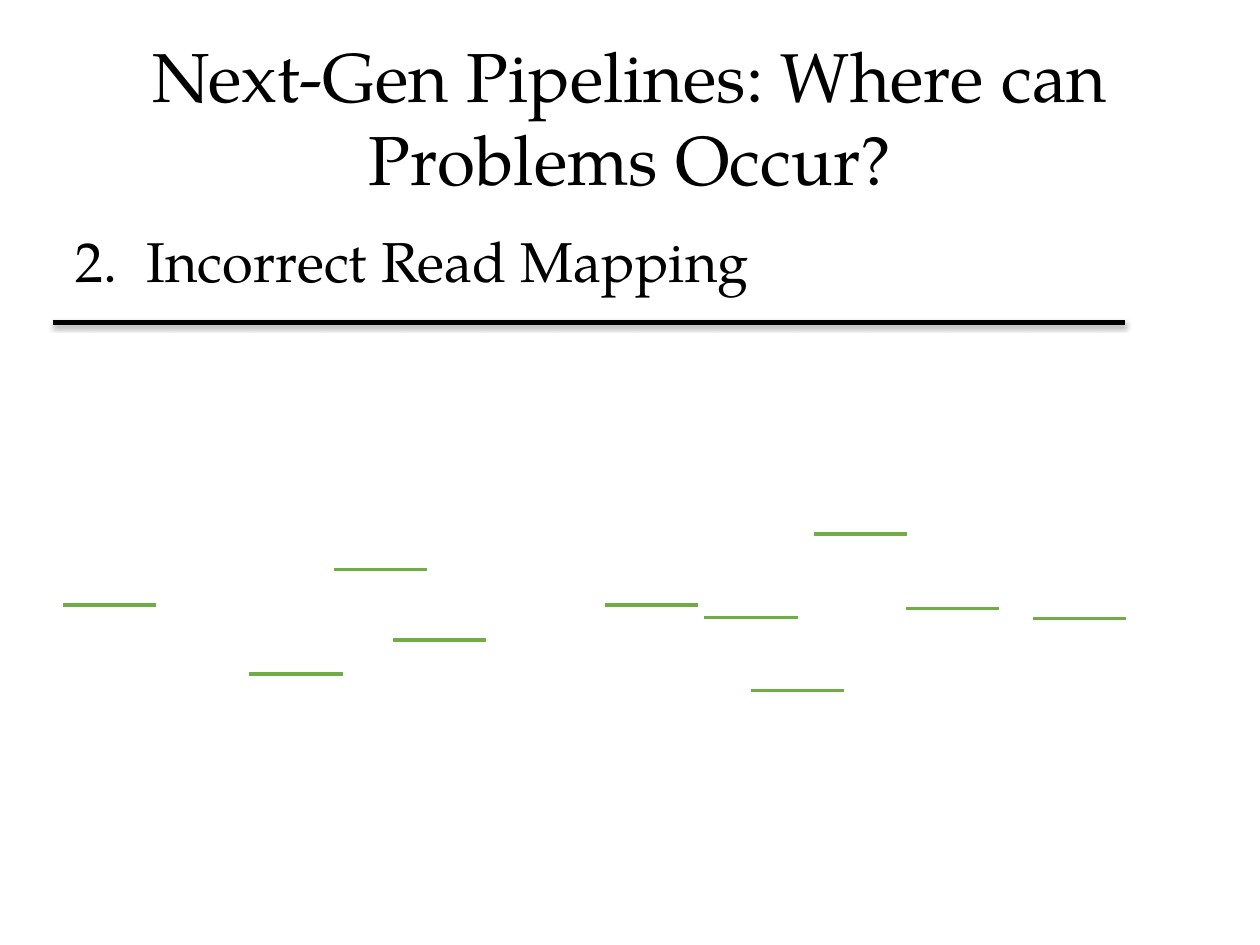
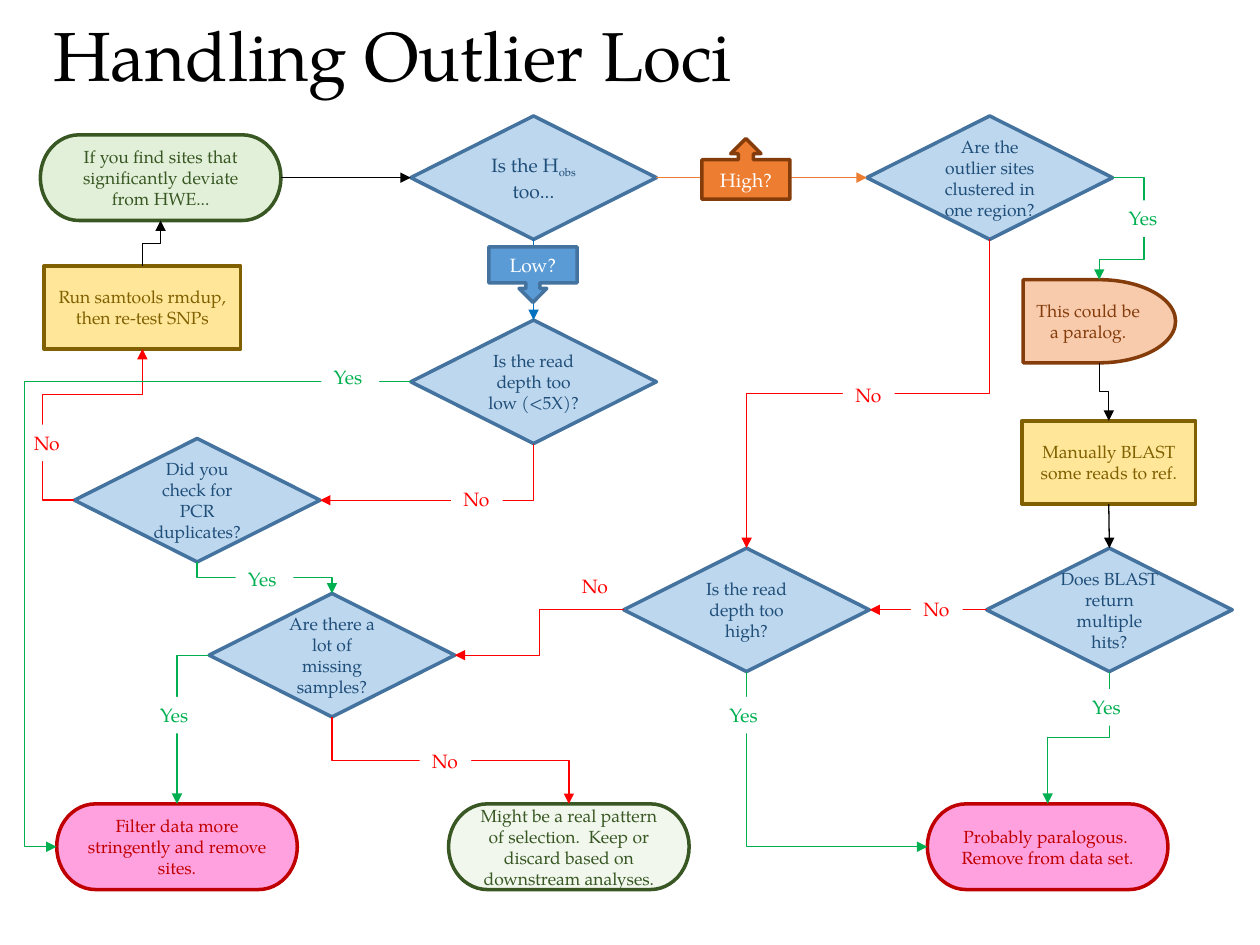
import pptx
import pptx.util
from pptx.dml.color import RGBColor
from pptx.enum.shapes import MSO_CONNECTOR, MSO_SHAPE
from pptx.enum.text import MSO_ANCHOR, MSO_AUTO_SIZE, PP_ALIGN
from pptx.oxml.ns import qn
from pptx.util import Inches
from lxml import etree

FONT = "TeX Gyre Pagella"
BLACK = RGBColor(0x00, 0x00, 0x00)
WHITE = RGBColor(0xFF, 0xFF, 0xFF)
READ_GREEN = RGBColor(0x70, 0xAD, 0x47)
YES_GREEN = RGBColor(0x00, 0xB0, 0x50)
NO_RED = RGBColor(0xFF, 0x00, 0x00)
LOW_BLUE = RGBColor(0x00, 0x70, 0xC0)
ORANGE = RGBColor(0xED, 0x7D, 0x31)
SKY = RGBColor(0x5B, 0x9B, 0xD5)
PALE_BLUE = RGBColor(0xBD, 0xD7, 0xEE)
STEEL = RGBColor(0x43, 0x73, 0x9E)
NAVY = RGBColor(0x1F, 0x4E, 0x79)
PALE_GREEN = RGBColor(0xE2, 0xF0, 0xD9)
SAGE = RGBColor(0xC5, 0xE0, 0xB4)
FOREST = RGBColor(0x38, 0x57, 0x23)
PEACH = RGBColor(0xF8, 0xCB, 0xAD)
BROWN = RGBColor(0x84, 0x3C, 0x0B)
YELLOW = RGBColor(0xFF, 0xE6, 0x99)
OLIVE = RGBColor(0x80, 0x60, 0x00)
PINK = RGBColor(0xFF, 0x8A, 0xD8)
CRIMSON = RGBColor(0xC0, 0x00, 0x00)


def write(shape, text, size, color, align=PP_ALIGN.CENTER):
    """Fill a shape with one paragraph; parts between bars are subscripts."""
    paragraph = shape.text_frame.paragraphs[0]
    paragraph.alignment = align
    for i, part in enumerate(text.split("|")):
        run = paragraph.add_run()
        run.text = part
        run.font.name = FONT
        run.font.size = pptx.util.Pt(size)
        run.font.color.rgb = color
        if i % 2:
            run.font._element.set("baseline", "-25000")


def style_line(connector, color, width, arrow=False):
    """Colour a connector, clear its shadow and return the effect list."""
    connector.line.color.rgb = color
    connector.line.width = pptx.util.Pt(width)
    properties = connector._element.spPr
    if arrow:
        etree.SubElement(properties.find(qn("a:ln")), qn("a:tailEnd"), type="triangle")
    return etree.SubElement(properties, qn("a:effectLst"))


prs = pptx.Presentation()
prs.slide_width, prs.slide_height = Inches(10), Inches(7.5)

# Both slides with their titles
slides = []
for layout, title, box in (
    (1, "Next-Gen Pipelines: Where can Problems Occur?", (0.5, 0.3, 9, 1.25)),
    (5, "Handling Outlier Loci", (0, 0.01, 6.23, 0.83)),
):
    slide = prs.slides.add_slide(prs.slide_layouts[layout])
    heading = slide.shapes.title
    heading.left, heading.top, heading.width, heading.height = map(Inches, box)
    heading.text_frame.auto_size = MSO_AUTO_SIZE.NONE
    heading.text_frame.vertical_anchor = MSO_ANCHOR.MIDDLE
    write(heading, title, 39.6, BLACK)
    slides.append(slide)
mapping, flow = slides

# Slide 1: numbered problem
problem = mapping.placeholders[1]
problem.left, problem.top = Inches(0.5), Inches(1.75)
problem.width, problem.height = Inches(9), Inches(4.95)
problem.text_frame.auto_size = MSO_AUTO_SIZE.NONE
paragraph = problem.text_frame.paragraphs[0]
numbering = paragraph._p.get_or_add_pPr()
numbering.set("marL", str(Inches(0.56)))
numbering.set("indent", str(-Inches(0.56)))
etree.SubElement(numbering, qn("a:buFont"), typeface="+mj-lt")
etree.SubElement(numbering, qn("a:buAutoNum"), type="arabicPeriod", startAt="2")
paragraph.space_before = pptx.util.Pt(0)
write(problem, "Incorrect Read Mapping", 32, BLACK, PP_ALIGN.LEFT)

# Slide 1: reference sequence with a soft shadow
reference = mapping.shapes.add_connector(
    MSO_CONNECTOR.STRAIGHT, Inches(0.42), Inches(2.56), Inches(8.93), Inches(2.56))
effects = style_line(reference, BLACK, 2.5)
shadow = etree.SubElement(effects, qn("a:outerShdw"), blurRad="40000", dist="20000",
                          dir="5400000", rotWithShape="0")
shadow_color = etree.SubElement(shadow, qn("a:srgbClr"), val="000000")
etree.SubElement(shadow_color, qn("a:alpha"), val="38000")

# Slide 1: short reads
READ_LENGTH = 0.74
for x, y in ((0.5, 4.8), (1.98, 5.35), (2.65, 4.52), (3.12, 5.08), (4.8, 4.8),
             (5.59, 4.9), (5.96, 5.48), (6.46, 4.24), (7.19, 4.83), (8.2, 4.91)):
    read = mapping.shapes.add_connector(
        MSO_CONNECTOR.STRAIGHT, Inches(x), Inches(y), Inches(x + READ_LENGTH), Inches(y))
    style_line(read, READ_GREEN, 2)

# Slide 2: kinds of step: shape, width, height, fill, opacity, outline, text
TERMINATOR = MSO_SHAPE.FLOWCHART_TERMINATOR
KINDS = {
    "start": (TERMINATOR, 1.91, 0.68, PALE_GREEN, 100, FOREST, FOREST),
    "keep": (TERMINATOR, 1.91, 0.68, SAGE, 23, FOREST, FOREST),
    "remove": (TERMINATOR, 1.91, 0.68, PINK, 80, CRIMSON, CRIMSON),
    "question": (MSO_SHAPE.FLOWCHART_DECISION, 1.95, 0.98, PALE_BLUE, 100, STEEL, NAVY),
    "paralog": (MSO_SHAPE.FLOWCHART_DELAY, 1.21, 0.66, PEACH, 100, BROWN, BROWN),
    "blast": (MSO_SHAPE.FLOWCHART_PROCESS, 1.38, 0.66, YELLOW, 100, OLIVE, OLIVE),
    "rmdup": (MSO_SHAPE.FLOWCHART_PROCESS, 1.56, 0.66, YELLOW, 100, OLIVE, OLIVE),
    "high": (MSO_SHAPE.UP_ARROW_CALLOUT, 0.7, 0.48, ORANGE, 100, BROWN, WHITE),
    "low": (MSO_SHAPE.DOWN_ARROW_CALLOUT, 0.7, 0.44, SKY, 100, STEEL, WHITE),
}
STEPS = [
    ("deviate", "start", 0.32, 1.07, 10,
     "If you find sites that significantly deviate from HWE..."),
    ("hobs", "question", 3.26, 0.92, 11, "Is the H|obs| too..."),
    ("clustered", "question", 6.88, 0.92, 10,
     "Are the outlier sites clustered in one region?"),
    ("paralog", "paralog", 8.12, 2.22, 10, "This could be a paralog."),
    ("blast", "blast", 8.11, 3.34, 10, "Manually BLAST some reads to ref."),
    ("hits", "question", 7.83, 4.35, 10, "Does BLAST return multiple hits?"),
    ("paralogous", "remove", 7.36, 6.38, 10,
     "Probably paralogous.  Remove from data set."),
    ("too_high", "question", 4.95, 4.35, 10, "Is the read depth too high?"),
    ("selection", "keep", 3.56, 6.38, 10,
     "Might be a real pattern of selection.  Keep or discard based on downstream analyses."),
    ("too_low", "question", 3.26, 2.54, 10, "Is the read depth too low (<5X)?"),
    ("filter", "remove", 0.45, 6.38, 10,
     "Filter data more stringently and remove sites."),
    ("missing", "question", 1.66, 4.71, 10, "Are there a lot of missing samples?"),
    ("rmdup", "rmdup", 0.35, 2.11, 10, "Run samtools rmdup, then re-test SNPs"),
    ("duplicates", "question", 0.59, 3.48, 10, "Did you check for PCR duplicates?"),
]
CALLOUTS = [("high", "high", 5.57, 1.1, 11, "High?"), ("low", "low", 3.88, 1.96, 11, "Low?")]

# Slide 2: routes between connection sites. An empty bend list turns once,
# each bend (a share of the span) adds a turn, and None is a straight arrow.
TOP, LEFT, BOTTOM, RIGHT = range(4)
ROUTES = [
    ("deviate", RIGHT, "hobs", LEFT, BLACK, None, None),
    ("hobs", RIGHT, "clustered", LEFT, ORANGE, None, None),
    ("hobs", BOTTOM, "too_low", TOP, LOW_BLUE, None, None),
    ("clustered", RIGHT, "paralog", TOP, YES_GREEN, [-2.38, 0.8], (8.86, 1.59)),
    ("clustered", BOTTOM, "too_high", TOP, NO_RED, [0.5], (6.69, 2.99)),
    ("paralog", BOTTOM, "blast", TOP, BLACK, [0.5], None),
    ("blast", BOTTOM, "hits", TOP, BLACK, None, None),
    ("hits", BOTTOM, "paralogous", TOP, YES_GREEN, [0.5], (8.57, 5.47)),
    ("hits", LEFT, "too_high", RIGHT, NO_RED, None, (7.23, 4.69)),
    ("too_high", BOTTOM, "paralogous", LEFT, YES_GREEN, [], (5.69, 5.53)),
    ("too_high", LEFT, "missing", RIGHT, NO_RED, [0.5], (4.52, 4.51)),
    ("missing", BOTTOM, "selection", TOP, NO_RED, [0.5], (3.33, 5.9)),
    ("missing", LEFT, "filter", TOP, YES_GREEN, [], (1.17, 5.53)),
    ("too_low", BOTTOM, "duplicates", RIGHT, NO_RED, [], (3.58, 3.82)),
    ("duplicates", LEFT, "rmdup", BOTTOM, NO_RED, [-0.47, 0.7], (0.17, 3.37)),
    ("duplicates", BOTTOM, "missing", TOP, YES_GREEN, [0.5], (1.87, 4.45)),
    ("rmdup", TOP, "deviate", BOTTOM, BLACK, [0.5], None),
    ("too_low", LEFT, "filter", LEFT, YES_GREEN, [1.09], (2.55, 2.85)),
]

# Slide 2: steps and callouts
steps = {}
for name, kind, x, y, size, text in STEPS + CALLOUTS:
    outline, width, height, fill, opacity, edge, ink = KINDS[kind]
    step = flow.shapes.add_shape(outline, Inches(x), Inches(y), Inches(width), Inches(height))
    step.shadow.inherit = False
    step.fill.solid()
    step.fill.fore_color.rgb = fill
    if opacity < 100:
        fill_color = step._element.spPr.find(qn("a:solidFill"))[0]
        etree.SubElement(fill_color, qn("a:alpha"), val=str(opacity * 1000))
    step.line.color.rgb = edge
    step.line.width = pptx.util.Pt(2)
    step.text_frame.vertical_anchor = MSO_ANCHOR.MIDDLE
    write(step, text, size, ink)
    steps[name] = step

# Slide 2: arrows, each followed by its answer
for origin, exit_site, target, entry_site, color, bends, answer_at in ROUTES:
    style = MSO_CONNECTOR.STRAIGHT if bends is None else MSO_CONNECTOR.ELBOW
    arrow = flow.shapes.add_connector(style, 0, 0, 0, 0)
    arrow.begin_connect(steps[origin], exit_site)
    arrow.end_connect(steps[target], entry_site)
    if bends is not None:
        geometry = arrow._element.spPr.find(qn("a:prstGeom"))
        geometry.set("prst", f"bentConnector{len(bends) + 2}")
        guides = geometry.find(qn("a:avLst"))
        for i, bend in enumerate(bends, 1):
            etree.SubElement(guides, qn("a:gd"), name=f"adj{i}",
                             fmla=f"val {round(bend * 100000)}")
        if exit_site in (TOP, BOTTOM):
            # An elbow leaves sideways, so turn it to leave up or down
            dx, dy = arrow.end_x - arrow.begin_x, arrow.end_y - arrow.begin_y
            center_x, center_y = arrow.begin_x + dx // 2, arrow.begin_y + dy // 2
            arrow.width, arrow.height = abs(dy), abs(dx)
            arrow.left = center_x - arrow.width // 2
            arrow.top = center_y - arrow.height // 2
            turn = arrow._element.spPr.find(qn("a:xfrm"))
            turn.set("rot", "5400000" if dy > 0 else "16200000")
            turn.set("flipH", "0")
            turn.set("flipV", "1" if dx * dy > 0 else "0")
    style_line(arrow, color, 0.75, arrow=True)
    if answer_at:
        text, width = ("Yes", 0.46) if color == YES_GREEN else ("No", 0.41)
        x, y = answer_at
        answer = flow.shapes.add_textbox(Inches(x), Inches(y), Inches(width), Inches(0.29))
        answer.fill.solid()
        answer.fill.fore_color.rgb = WHITE
        answer.text_frame.word_wrap = False
        answer.text_frame.auto_size = MSO_AUTO_SIZE.SHAPE_TO_FIT_TEXT
        write(answer, text, 11, color, PP_ALIGN.LEFT)

# Slide 2: callouts lie over their arrows
for name, *_ in CALLOUTS:
    flow.shapes._spTree.append(steps[name]._element)

prs.save("out.pptx")
